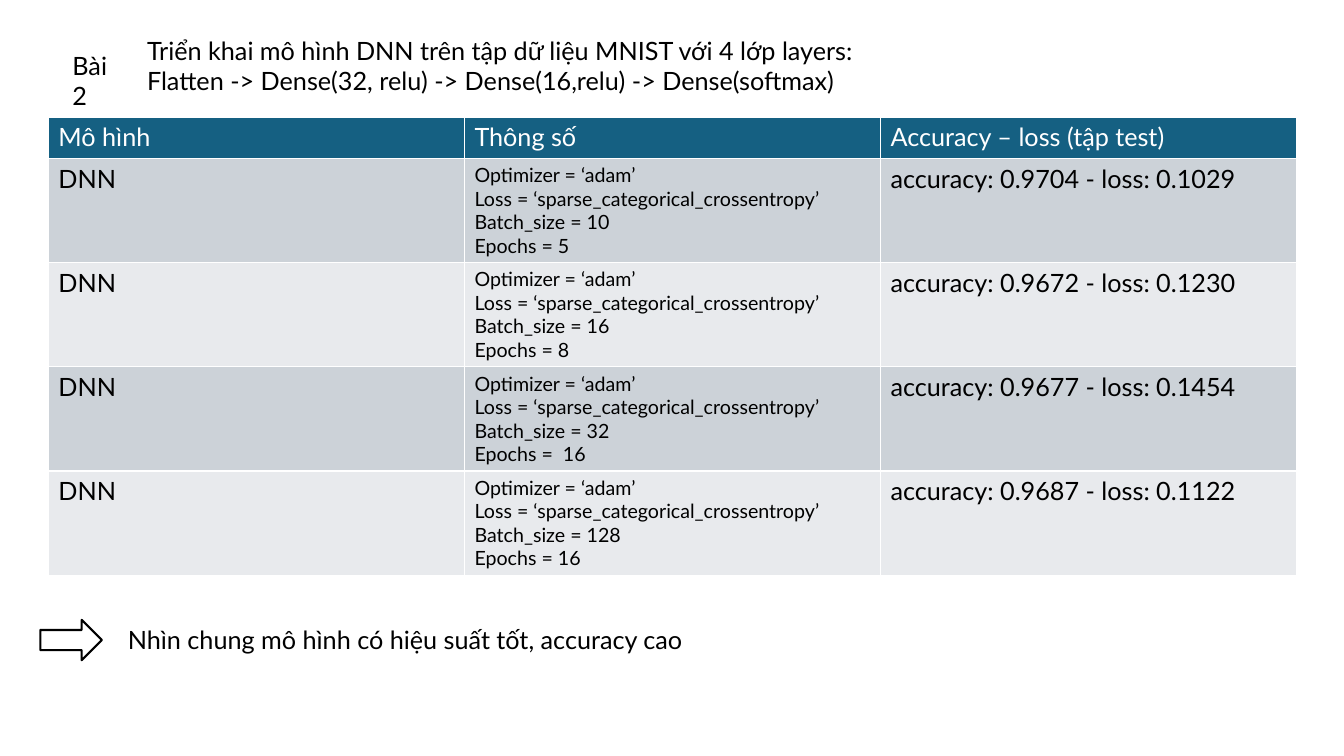
from dataclasses import dataclass

from pptx import Presentation
from pptx.dml.color import RGBColor
from pptx.enum.shapes import MSO_SHAPE as Preset
from pptx.shapes.shapetree import SlideShapes
from pptx.table import _Cell as Cell
from pptx.text.text import TextFrame
from pptx.util import Inches, Pt

FONT = "Lato"
BLACK = RGBColor(0x00, 0x00, 0x00)
WHITE = RGBColor(0xFF, 0xFF, 0xFF)
HEADER_BLUE = RGBColor(0x15, 0x60, 0x82)
BANDS = (RGBColor(0xCC, 0xD2, 0xD8), RGBColor(0xE8, 0xEA, 0xED))


@dataclass
class Caption:
    text: str
    left: float
    top: float
    width: float
    height: float


@dataclass
class Experiment:
    batch_size: str
    epochs: str
    result: str

    def parameters(self) -> str:
        return "\n".join((
            "Optimizer = ‘adam’",
            "Loss = ‘sparse_categorical_crossentropy’",
            f"Batch_size = {self.batch_size}",
            f"Epochs = {self.epochs}",
        ))


CAPTIONS = (
    Caption("Bài 2", 0.62, 0.45, 0.73, 0.4),
    Caption("Triển khai mô hình DNN trên tập dữ liệu MNIST với 4 lớp layers:\v"
            "Flatten -> Dense(32, relu) -> Dense(16,relu) -> Dense(softmax)",
            1.36, 0.3, 9.18, 0.71),
    Caption("Nhìn chung mô hình có hiệu suất tốt, accuracy cao", 1.17, 6.14, 5.73, 0.4),
)
HEADINGS = ("Mô hình", "Thông số", "Accuracy – loss (tập test)")
EXPERIMENTS = (
    Experiment("10", "5", "accuracy: 0.9704 - loss: 0.1029"),
    Experiment("16", "8", "accuracy: 0.9672 - loss: 0.1230"),
    Experiment("32", " 16", "accuracy: 0.9677 - loss: 0.1454"),
    Experiment("128", "16", "accuracy: 0.9687 - loss: 0.1122"),
)


def write(frame: TextFrame, text: str, size: int = 18, color: RGBColor = BLACK) -> None:
    frame.text = text
    for paragraph in frame.paragraphs:
        font = paragraph.font
        font.name, font.size, font.bold = FONT, Pt(size), False
        font.color.rgb = color


def add_caption(shapes: SlideShapes, caption: Caption) -> None:
    box = shapes.add_textbox(Inches(caption.left), Inches(caption.top),
                             Inches(caption.width), Inches(caption.height))
    box.text_frame.word_wrap = True
    write(box.text_frame, caption.text)


def fill_cell(cell: Cell, text: str, fill: RGBColor, size: int = 18,
              color: RGBColor = BLACK) -> None:
    cell.fill.solid()
    cell.fill.fore_color.rgb = fill
    write(cell.text_frame, text, size, color)


def add_results(shapes: SlideShapes) -> None:
    results = shapes.add_table(len(EXPERIMENTS) + 1, len(HEADINGS), Inches(0.48),
                               Inches(1.16), Inches(12.38), Inches(4.54)).table
    for row in results.rows:
        row.height = Inches(1.03)
    results.rows[0].height = Inches(0.41)

    for column, heading in enumerate(HEADINGS):
        fill_cell(results.cell(0, column), heading, HEADER_BLUE, color=WHITE)
    for index, experiment in enumerate(EXPERIMENTS):
        band = BANDS[index % len(BANDS)]
        entries = (("DNN", 18), (experiment.parameters(), 14), (experiment.result, 18))
        for column, (text, size) in enumerate(entries):
            fill_cell(results.cell(index + 1, column), text, band, size)


def add_conclusion_arrow(shapes: SlideShapes) -> None:
    arrow = shapes.add_shape(Preset.RIGHT_ARROW, Inches(0.4), Inches(6.15),
                             Inches(0.61), Inches(0.4))
    arrow.shadow.inherit = False
    arrow.fill.solid()
    arrow.fill.fore_color.rgb = WHITE
    arrow.line.color.rgb = BLACK
    arrow.line.width = Pt(1.5)


def main() -> None:
    deck = Presentation()
    deck.slide_width, deck.slide_height = Inches(13.33), Inches(7.5)
    shapes = deck.slides.add_slide(deck.slide_layouts[6]).shapes

    # Results table
    add_results(shapes)

    # Task title and conclusion
    for caption in CAPTIONS:
        add_caption(shapes, caption)
    add_conclusion_arrow(shapes)

    deck.save("out.pptx")


if __name__ == "__main__":
    main()
